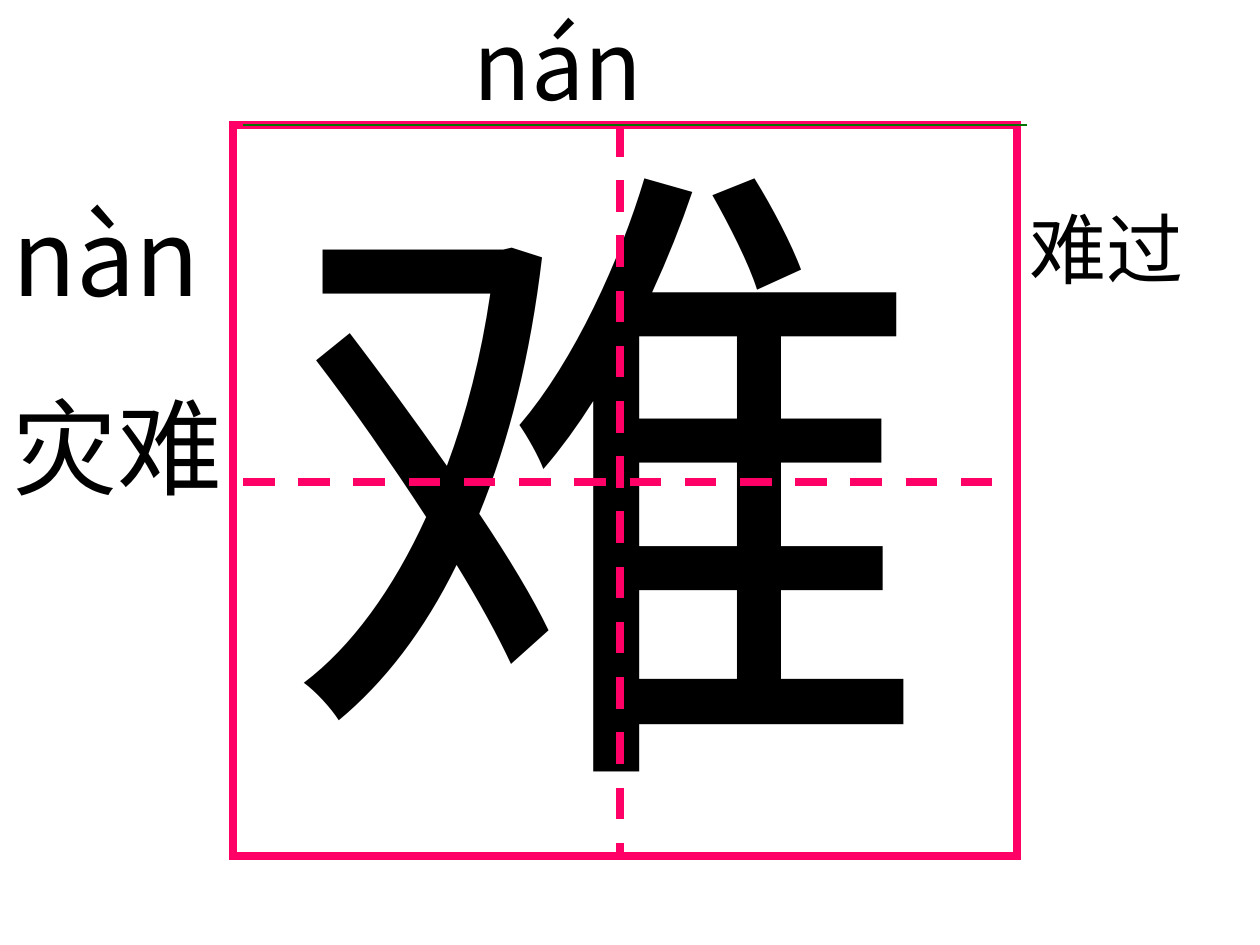
from dataclasses import dataclass

from lxml.etree import SubElement
from pptx import Presentation
from pptx.dml.color import RGBColor
from pptx.enum.dml import MSO_LINE
from pptx.enum.shapes import MSO_CONNECTOR, MSO_SHAPE
from pptx.enum.text import MSO_AUTO_SIZE
from pptx.oxml.ns import qn
from pptx.util import Cm, Pt


@dataclass(frozen=True)
class Theme:
    ink: RGBColor = RGBColor(0x00, 0x00, 0x00)
    grid: RGBColor = RGBColor(0xFF, 0x00, 0x66)
    edge: RGBColor = RGBColor(0x00, 0x74, 0x00)
    grid_width: float = 4.5
    edge_width: float = 0.75
    character_size: int = 370
    reading_size: int = 54
    word_size: int = 44
    other_reading_size: int = 60
    character_font: str = "Times New Roman"
    pinyin_font: str = "Noto Sans CJK SC"
    word_font: str = "Arial"
    east_asian_font: str = "Noto Sans CJK SC"


THEME = Theme()


def add_text(slide, box, lines, size, font, space_before=0, wrap=True):
    """Add one paragraph per line; the first has no space before."""
    shape = slide.shapes.add_textbox(*map(Cm, box))
    frame = shape.text_frame
    frame.word_wrap = wrap
    frame.auto_size = MSO_AUTO_SIZE.SHAPE_TO_FIT_TEXT
    for index, line in enumerate(lines):
        paragraph = frame.add_paragraph() if index else frame.paragraphs[0]
        paragraph.space_before = Pt(space_before if index else 0)
        run = paragraph.add_run()
        run.text = line
        run.font.size = Pt(size)
        run.font.name = font
        run.font.color.rgb = THEME.ink
        east_asian = SubElement(run.font._element, qn("a:ea"))
        east_asian.set("typeface", THEME.east_asian_font)


def add_line(slide, start, end, color, width, dash=None):
    line = slide.shapes.add_connector(
        MSO_CONNECTOR.STRAIGHT, *map(Cm, (*start, *end)))
    line.line.color.rgb = color
    line.line.width = Pt(width)
    line.line.dash_style = dash
    SubElement(line._element.spPr, qn("a:effectLst"))


def add_frame(slide, box):
    """Add an unfilled rectangle with sharp outline corners."""
    shape = slide.shapes.add_shape(MSO_SHAPE.RECTANGLE, *map(Cm, box))
    shape.shadow.inherit = False
    shape.fill.background()
    shape.line.color.rgb = THEME.grid
    shape.line.width = Pt(THEME.grid_width)
    outline = shape._element.spPr.find(qn("a:ln"))
    SubElement(outline, qn("a:miter")).set("lim", "800000")


def add_practice_grid(slide):
    left, top, width, height = 4.7, 2.52, 15.8, 14.73
    inner_left, middle_x, middle_y = left + 0.2, 12.5, 9.72
    add_frame(slide, (left, top, width, height))
    guides = (
        ((inner_left, middle_y), (left + width, middle_y)),
        ((middle_x, top), (middle_x, top + height)),
    )
    for start, end in guides:
        add_line(slide, start, end, THEME.grid, THEME.grid_width, MSO_LINE.DASH)
    add_line(slide, (inner_left, top), (inner_left + width, top),
             THEME.edge, THEME.edge_width)


def main():
    presentation = Presentation()
    presentation.slide_width, presentation.slide_height = Cm(25.4), Cm(19.05)
    slide = presentation.slides.add_slide(presentation.slide_layouts[6])

    add_text(slide, (5.51, 1.32, 13.56, 15.93), ["难"],
             THEME.character_size, THEME.character_font, wrap=False)
    add_practice_grid(slide)
    add_text(slide, (9.3, 0, 9.8, 2.54), ["nán"],
             THEME.reading_size, THEME.pinyin_font)
    add_text(slide, (20.5, 3.94, 4.29, 2.13), ["难过"],
             THEME.word_size, THEME.word_font)
    add_text(slide, (0, 3.73, 6.5, 10.52), ["nàn", "灾难"],
             THEME.other_reading_size, THEME.pinyin_font, space_before=37.5)
    presentation.save("out.pptx")


if __name__ == "__main__":
    main()
